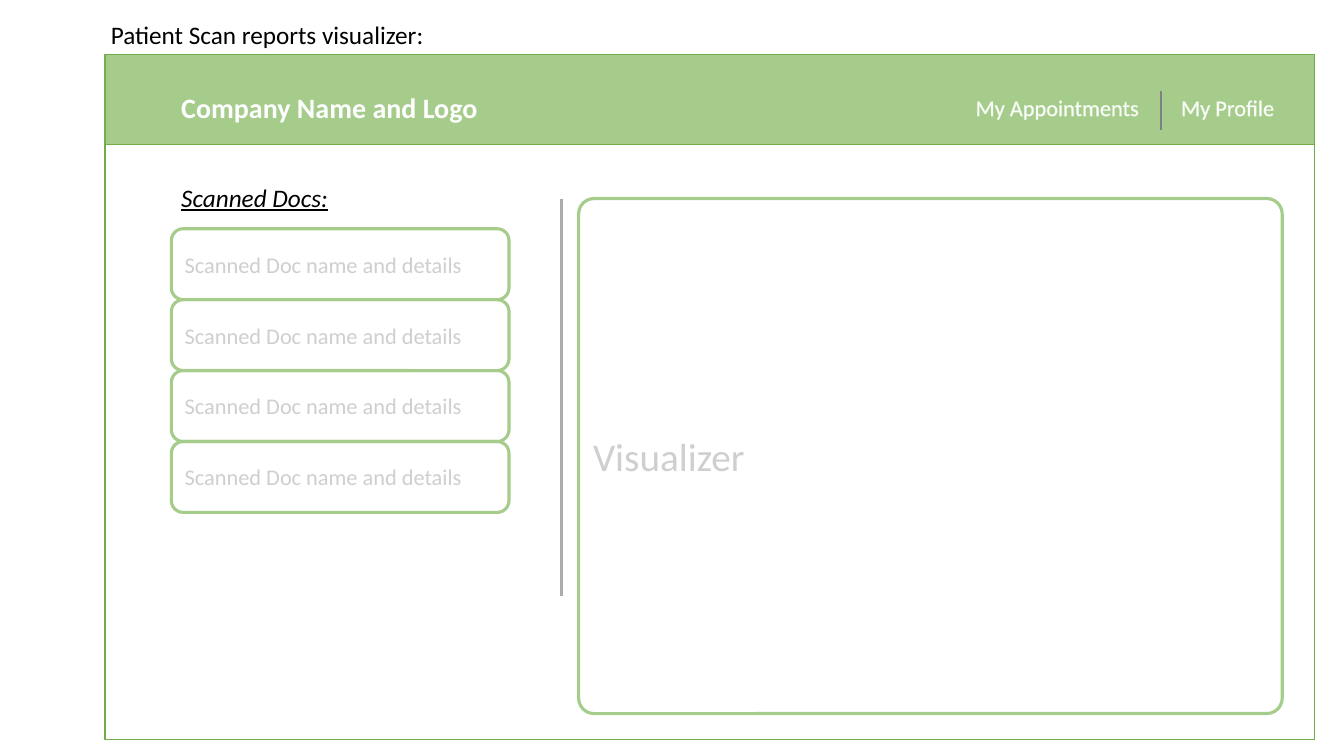
import lxml.etree
import pptx
import pptx.dml.color
import pptx.enum.shapes
import pptx.enum.text
import pptx.oxml.ns
import pptx.util

Pt = pptx.util.Pt
RGBColor = pptx.dml.color.RGBColor
Shape = pptx.enum.shapes.MSO_SHAPE
Anchor = pptx.enum.text.MSO_ANCHOR
qn = pptx.oxml.ns.qn

WHITE = RGBColor(0xFF, 0xFF, 0xFF)
BLACK = RGBColor(0, 0, 0)
GREEN = RGBColor(0x70, 0xAD, 0x47)
LIGHT_GREEN = RGBColor(0xA6, 0xCC, 0x8C)
PALE_GREEN = RGBColor(0xE2, 0xF0, 0xD9)
GRAY = RGBColor(0x80, 0x80, 0x80)
WARM_GRAY = RGBColor(0xAF, 0xAB, 0xAB)
PLACEHOLDER_GRAY = RGBColor(0xD0, 0xCE, 0xCE)

FONT = "Calibri"
DOCUMENT_COUNT = 4


def write(shape, text, size, color, anchor=Anchor.TOP):
    """Set one left-aligned line of text and return its font."""
    frame = shape.text_frame
    frame.text = text
    frame.word_wrap = True
    frame.auto_size = pptx.enum.text.MSO_AUTO_SIZE.NONE
    frame.vertical_anchor = anchor
    paragraph = frame.paragraphs[0]
    paragraph.alignment = pptx.enum.text.PP_ALIGN.LEFT
    font = paragraph.runs[0].font
    font.name = FONT
    font.size = Pt(size)
    font.color.rgb = color
    return font


def add_label(slide, box, text, size, color):
    label = slide.shapes.add_textbox(*map(Pt, box))
    return write(label, text, size, color)


def add_panel(slide, kind, box, line_color, line_width, fill=None, corner=None):
    panel = slide.shapes.add_shape(kind, *map(Pt, box))
    panel.shadow.inherit = False
    if fill is None:
        panel.fill.background()
    else:
        panel.fill.solid()
        panel.fill.fore_color.rgb = fill
    panel.line.color.rgb = line_color
    panel.line.width = Pt(line_width)
    if corner is not None:
        panel.adjustments[0] = corner
    return panel


def add_divider(slide, x, top, bottom, color, width):
    divider = slide.shapes.add_connector(
        pptx.enum.shapes.MSO_CONNECTOR.STRAIGHT, Pt(x), Pt(top), Pt(x), Pt(bottom))
    divider.line.color.rgb = color
    divider.line.width = Pt(width)
    properties = divider._element.find(qn("p:spPr"))
    lxml.etree.SubElement(properties, qn("a:effectLst"))


def outline_text(font, color, width):
    outline = lxml.etree.Element(qn("a:ln"), w=str(Pt(width)))
    fill = lxml.etree.SubElement(outline, qn("a:solidFill"))
    lxml.etree.SubElement(fill, qn("a:srgbClr"), val=str(color))
    font._element.insert(0, outline)


def add_title(slide, box):
    title = slide.shapes.title
    title.left, title.top, title.width, title.height = map(Pt, box)
    write(title, "Patient Scan reports visualizer:", 18, BLACK)


def add_header(slide, box):
    left, top, width, height = box
    add_panel(slide, Shape.RECTANGLE, box, GREEN, 0.5, LIGHT_GREEN)
    company = add_label(slide, (left + 47.4, top + 22.2, 232, 31.5),
                        "Company Name and Logo", 20, WHITE)
    company.bold = True
    right = left + width
    menu = (("My Appointments", right - 249.2, 137), ("My Profile", right - 102.4, 88))
    for text, item_left, item_width in menu:
        font = add_label(slide, (item_left, top + 24.4, item_width, 26.6), text, 16, WHITE)
        outline_text(font, PALE_GREEN, 0.75)
    add_divider(slide, right - 109.6, top + 25.8, top + 53.9, GRAY, 1)


def add_document_list(slide, box):
    left, top, width, height = box
    heading = add_label(slide, (left, top, 128, 29), "Scanned Docs:", 18, BLACK)
    heading.italic = True
    heading.underline = True
    first_top = top + 36.7
    pitch = (top + height - first_top) / DOCUMENT_COUNT
    for index in range(DOCUMENT_COUNT):
        card_box = (left, first_top + index * pitch, width, pitch)
        card = add_panel(slide, Shape.ROUNDED_RECTANGLE, card_box, LIGHT_GREEN, 2.25)
        write(card, "Scanned Doc name and details", 16, PLACEHOLDER_GRAY, Anchor.MIDDLE)


def add_visualizer(slide, box):
    left, top, width, height = box
    add_divider(slide, left - 12.3, top, top + 283.7, WARM_GRAY, 2.5)
    viewer = add_panel(slide, Shape.ROUNDED_RECTANGLE, box, LIGHT_GREEN, 2.25, corner=0.03)
    write(viewer, "Visualizer", 28, PLACEHOLDER_GRAY, Anchor.MIDDLE)


def add_report_page(slide, box):
    left, top, width, height = box
    add_title(slide, (left - 3, top - 29, 250, 29))
    add_panel(slide, Shape.ROUNDED_RECTANGLE, box, GREEN, 1, WHITE, corner=0)
    add_header(slide, (left, top, width, 64))
    add_document_list(slide, (left + 47.4, top + 87.7, 241.2, 239.3))
    add_visualizer(slide, (left + 338.3, top + 102.8, 502.6, 367.9))


def main():
    presentation = pptx.Presentation()
    presentation.slide_width = Pt(960)
    presentation.slide_height = Pt(540)
    title_only = presentation.slide_layouts[5]
    slide = presentation.slides.add_slide(title_only)
    add_report_page(slide, (75, 39, 864, 489))
    presentation.save("out.pptx")


if __name__ == "__main__":
    main()
